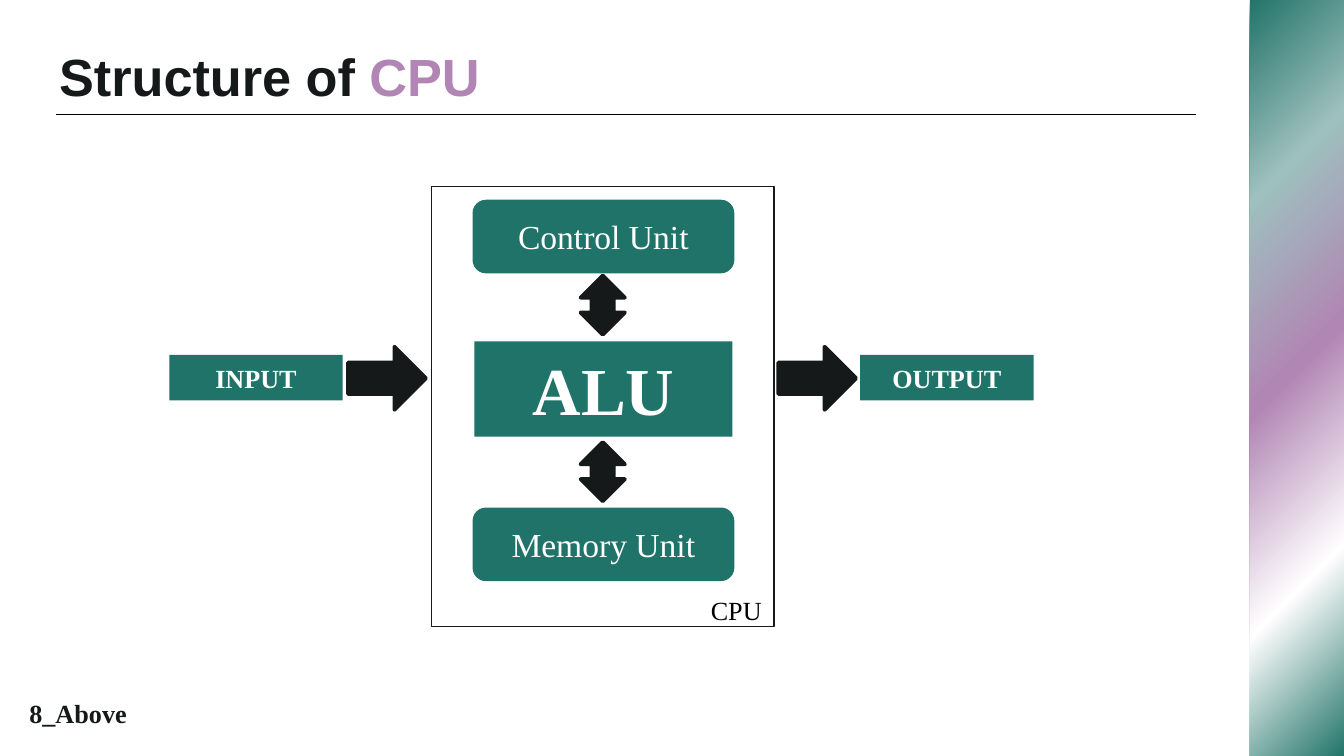
import pptx
import pptx.dml.color
import pptx.enum.dml
import pptx.enum.shapes
import pptx.enum.text
import pptx.oxml
import pptx.oxml.ns
import pptx.util
from lxml import etree
from pptx.util import Inches

COLORS = {
    "teal": "207368",
    "mist": "9EC0BE",
    "mauve": "B185B4",
    "white": "FFFFFF",
    "ink": "151919",
    "black": "000000",
}
SHAPES = pptx.enum.shapes.MSO_SHAPE
ALIGN = pptx.enum.text.PP_ALIGN
ANCHOR = pptx.enum.text.MSO_ANCHOR
SERIF = "Times New Roman"


def rgb(name):
    """Return the palette colour with this name."""
    return pptx.dml.color.RGBColor.from_string(COLORS[name])


def write(frame, *runs, size=14, font=SERIF, bold=False, align=ALIGN.LEFT, anchor=ANCHOR.TOP):
    """Fill a text frame with (text, colour) runs in one format."""
    frame.word_wrap = True
    frame.auto_size = pptx.enum.text.MSO_AUTO_SIZE.NONE
    frame.vertical_anchor = anchor
    paragraph = frame.paragraphs[0]
    paragraph.alignment = align
    for text, color in runs:
        run = paragraph.add_run()
        run.text = text
        run.font.size = pptx.util.Pt(size)
        run.font.name = font
        run.font.bold = bold
        run.font.color.rgb = rgb(color)


def add_block(slide, kind, box, fill=None, line=None, width=2):
    """Add a preset shape with optional fill and outline."""
    block = slide.shapes.add_shape(kind, *map(Inches, box))
    block.shadow.inherit = False
    if fill:
        block.fill.solid()
        block.fill.fore_color.rgb = rgb(fill)
    else:
        block.fill.background()
    if line:
        block.line.color.rgb = rgb(line)
        block.line.width = pptx.util.Pt(width)
    else:
        block.line.fill.background()
    return block


def add_unit(slide, kind, box, label, size, bold=True, line=None):
    """Add a teal block with a centred white label."""
    unit = add_block(slide, kind, box, "teal", line)
    write(unit.text_frame, (label, "white"), size=size, bold=bold,
          align=ALIGN.CENTER, anchor=ANCHOR.MIDDLE)


def add_label(slide, box, text, color, bold=False):
    """Add a small free-standing label."""
    label = slide.shapes.add_textbox(*map(Inches, box))
    write(label.text_frame, (text, color), bold=bold)


def add_side_band(slide):
    """Add the diagonal gradient band at the right edge."""
    band = add_block(slide, SHAPES.RECTANGLE, (9.3, -0.03, 0.7, 5.68))
    band.fill.gradient()
    qn = pptx.oxml.ns.qn
    gradient = band._element.spPr.find(qn("a:gradFill"))
    stops = gradient.find(qn("a:gsLst"))
    for stop in list(stops):
        stops.remove(stop)
    for percent, color in ((0, "teal"), (24, "mist"), (49, "mauve"), (75, "white"), (100, "teal")):
        stop = etree.SubElement(stops, qn("a:gs"), pos=str(percent * 1000))
        etree.SubElement(stop, qn("a:srgbClr"), val=COLORS[color])
    direction = gradient.find(qn("a:lin"))
    direction.set("ang", str(45 * 60000))
    direction.set("scaled", "0")


def add_title(slide):
    """Place the title and the rule below it."""
    title = slide.shapes.title
    title.left, title.top, title.width, title.height = map(Inches, (0.34, 0.28, 6.28, 0.57))
    write(title.text_frame, ("Structure of ", "ink"), ("CPU", "mauve"),
          size=28, font="Arial", bold=True)
    rule = slide.shapes.add_connector(
        pptx.enum.shapes.MSO_CONNECTOR.STRAIGHT, *map(Inches, (0.42, 0.85, 8.9, 0.85)))
    rule.line.color.rgb = rgb("black")
    rule.line.width = pptx.util.Pt(0.75)
    etree.SubElement(rule._element.spPr, pptx.oxml.ns.qn("a:effectLst"))


def add_diagram(slide):
    """Draw the CPU with its units, input and output."""
    add_block(slide, SHAPES.RECTANGLE, (3.21, 1.39, 2.55, 3.27), line="ink", width=0.75)
    for left, label in ((1.26, "INPUT"), (6.4, "OUTPUT")):
        add_unit(slide, SHAPES.RECTANGLE, (left, 2.64, 1.29, 0.34), label, 14)
    for left in (2.59, 5.79):
        add_block(slide, SHAPES.RIGHT_ARROW, (left, 2.58, 0.58, 0.47), "ink", "ink")
    add_unit(slide, SHAPES.RECTANGLE, (3.53, 2.54, 1.92, 0.71), "ALU", 36)
    for top in (2.05, 3.29):
        add_block(slide, SHAPES.UP_DOWN_ARROW, (4.32, top, 0.33, 0.44), "ink", "ink")
    for top, label in ((1.5, "Control Unit"), (3.79, "Memory Unit")):
        add_unit(slide, SHAPES.ROUNDED_RECTANGLE, (3.53, top, 1.92, 0.52), label, 18,
                 bold=False, line="teal")
    add_label(slide, (5.19, 4.37, 0.78, 0.34), "CPU", "black")


def main():
    """Build and save the slide."""
    deck = pptx.Presentation()
    deck.slide_width = Inches(10)
    deck.slide_height = deck.slide_width * 9 // 16
    slide = deck.slides.add_slide(deck.slide_layouts[5])
    add_side_band(slide)
    add_label(slide, (0.12, 5.14, 1.8, 0.34), "8_Above", "ink", bold=True)
    add_title(slide)
    add_diagram(slide)
    deck.save("out.pptx")


if __name__ == "__main__":
    main()
